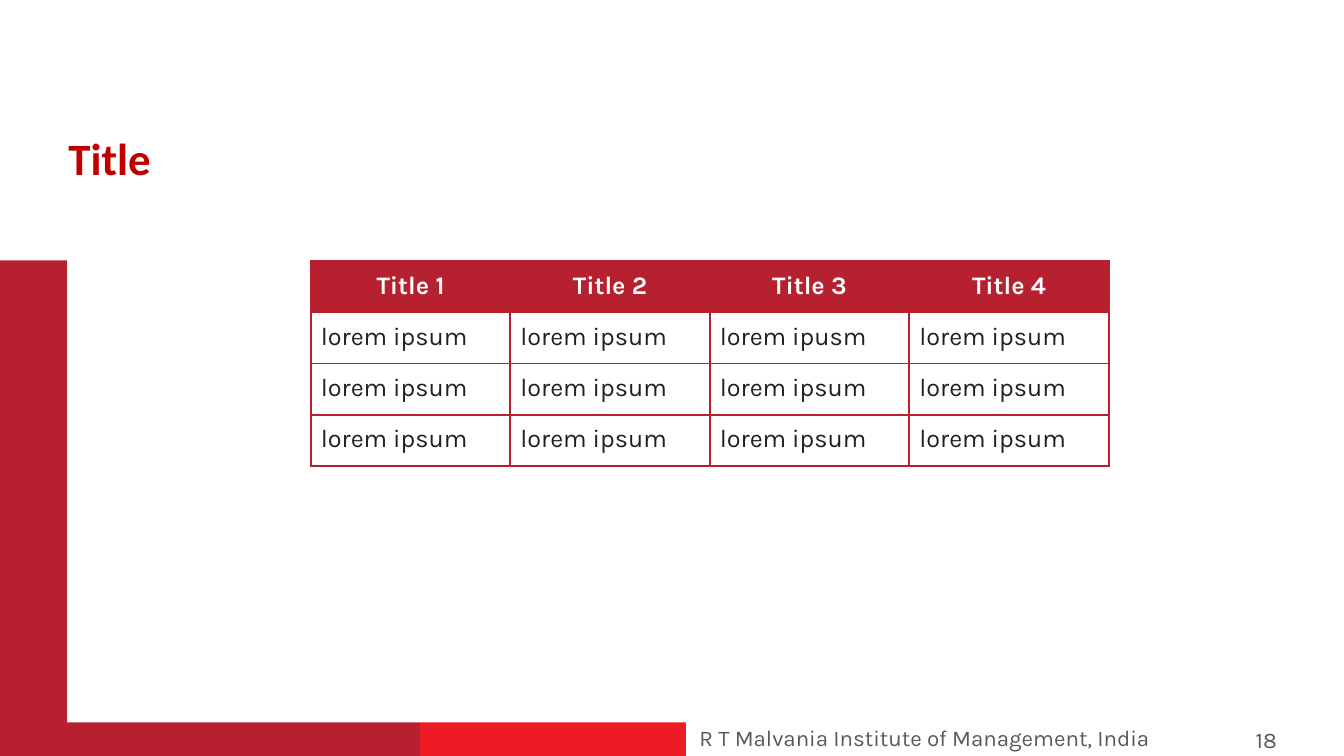
from lxml.etree import SubElement
from pptx import Presentation
from pptx.dml.color import RGBColor
from pptx.enum.shapes import MSO_SHAPE
from pptx.enum.text import MSO_ANCHOR, PP_ALIGN
from pptx.oxml.ns import qn
from pptx.util import Pt

CRIMSON = RGBColor(0xB7, 0x20, 0x2E)
BRIGHT_RED = RGBColor(0xED, 0x1C, 0x24)
TITLE_RED = RGBColor(0xC0, 0x00, 0x00)
GREY = RGBColor(0x58, 0x59, 0x5B)
INK = RGBColor(0x23, 0x1F, 0x20)
WHITE = RGBColor(0xFF, 0xFF, 0xFF)

SLIDE_W, SLIDE_H = 960, 540

# text, (left, top, width, height), font, size, colour, bold, wrap
LABELS = [
    ("R T Malvania Institute of Management, India",
     (492.5, 513.4, 366.5, 26.6), "Karla", 16, GREY, False, True),
    ("Title", (41.8, 90, 79.9, 46.1), "Calibri", 32, TITLE_RED, True, False),
    ("18", (889.9, 514.8, 62.6, 28.8), "Karla", 16, GREY, False, True),
]

# left, top, right, colour; every band reaches the bottom of the slide
BANDS = [
    (0, 186, 48, CRIMSON),
    (300, 516, 490, BRIGHT_RED),
    (0, 516, 300, CRIMSON),
]

ROWS = [
    ["Title 1", "Title 2", "Title 3", "Title 4"],
    ["lorem ipsum", "lorem ipsum", "lorem ipusm", "lorem ipsum"],
    ["lorem ipsum", "lorem ipsum", "lorem ipsum", "lorem ipsum"],
    ["lorem ipsum", "lorem ipsum", "lorem ipsum", "lorem ipsum"],
]
TABLE_LEFT, TABLE_TOP = 222, 186.4
COLUMN_W, ROW_H = 142.5, 36.6
CELL_MARGIN = 7.2
BORDER_W = 1.5


def style_text(paragraph, font_name, size, color, bold):
    for run in paragraph.runs:
        run.font.name = font_name
        run.font.size = Pt(size)
        run.font.color.rgb = color
        run.font.bold = bold


def add_band(slide, left, top, right, color):
    band = slide.shapes.add_shape(MSO_SHAPE.RECTANGLE, Pt(left), Pt(top),
                                  Pt(right - left), Pt(SLIDE_H - top))
    band.shadow.inherit = False
    band.fill.solid()
    band.fill.fore_color.rgb = color
    band.line.fill.background()


def add_label(slide, text, box, font_name, size, color, bold, wrap):
    label = slide.shapes.add_textbox(*map(Pt, box))
    label.text_frame.word_wrap = wrap
    label.text_frame.text = text
    style_text(label.text_frame.paragraphs[0], font_name, size, color, bold)


def add_borders(cell):
    """Draw all four cell borders; must run before the fill is set."""
    properties = cell._tc.get_or_add_tcPr()
    for side in ("a:lnL", "a:lnR", "a:lnT", "a:lnB"):
        line = SubElement(properties, qn(side), w=str(Pt(BORDER_W)))
        fill = SubElement(line, qn("a:solidFill"))
        SubElement(fill, qn("a:srgbClr"), val=str(CRIMSON))


def fill_cell(cell, text, is_header):
    add_borders(cell)
    if is_header:
        cell.fill.solid()
        cell.fill.fore_color.rgb = CRIMSON
    else:
        cell.fill.background()
    cell.margin_left = cell.margin_right = Pt(CELL_MARGIN)
    cell.margin_top = cell.margin_bottom = Pt(CELL_MARGIN)
    cell.vertical_anchor = MSO_ANCHOR.MIDDLE if is_header else MSO_ANCHOR.TOP
    cell.text_frame.text = text
    paragraph = cell.text_frame.paragraphs[0]
    paragraph.alignment = PP_ALIGN.CENTER if is_header else PP_ALIGN.LEFT
    style_text(paragraph, "Karla", 18, WHITE if is_header else INK, is_header)


def add_grid(slide):
    row_count, column_count = len(ROWS), len(ROWS[0])
    table = slide.shapes.add_table(
        row_count, column_count, Pt(TABLE_LEFT), Pt(TABLE_TOP),
        Pt(COLUMN_W * column_count), Pt(ROW_H * row_count)).table
    table.horz_banding = False
    for r, texts in enumerate(ROWS):
        for c, text in enumerate(texts):
            fill_cell(table.cell(r, c), text, is_header=r == 0)


def main():
    presentation = Presentation()
    presentation.slide_width = Pt(SLIDE_W)
    presentation.slide_height = Pt(SLIDE_H)
    slide = presentation.slides.add_slide(presentation.slide_layouts[6])
    for band in BANDS:
        add_band(slide, *band)
    for label in LABELS:
        add_label(slide, *label)
    add_grid(slide)
    presentation.save("out.pptx")


if __name__ == "__main__":
    main()
